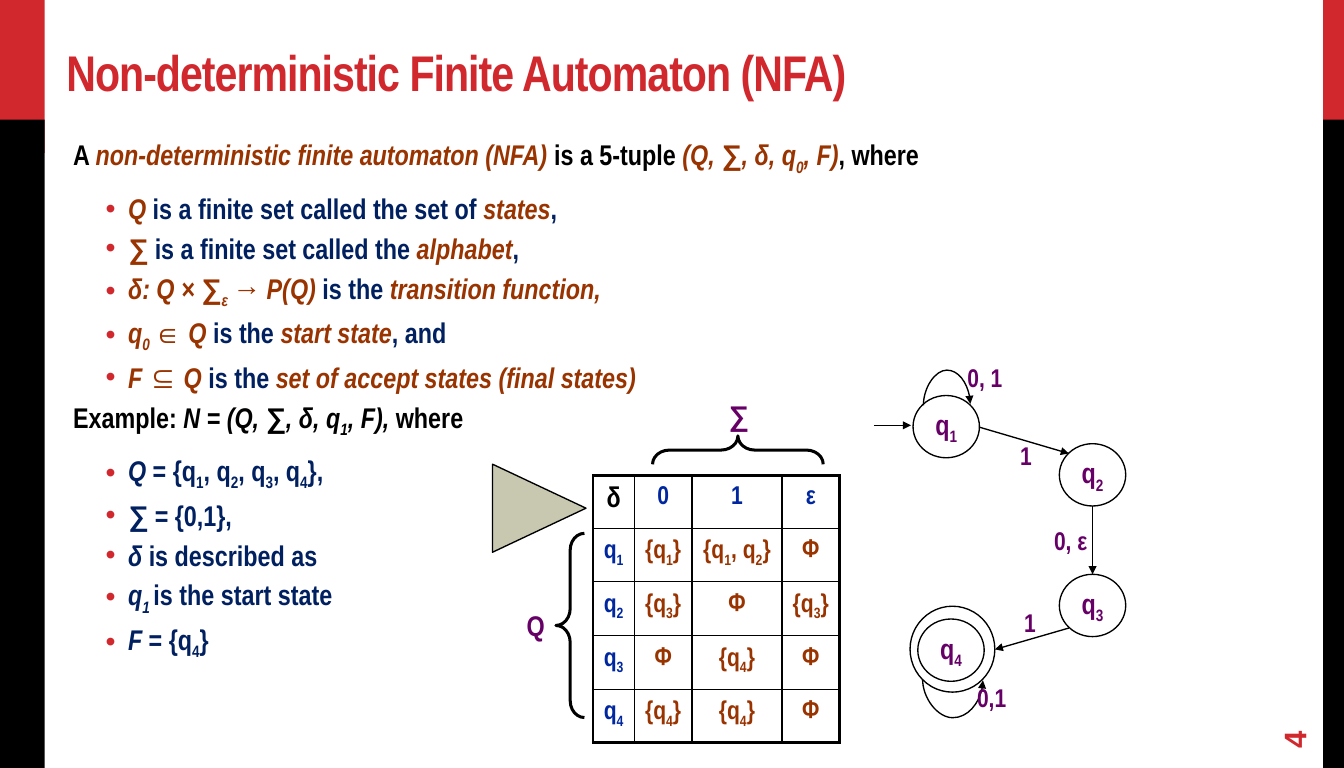
from lxml.etree import SubElement
from pptx import Presentation
from pptx.dml.color import RGBColor
from pptx.enum.shapes import MSO_CONNECTOR, MSO_SHAPE
from pptx.enum.text import MSO_ANCHOR, MSO_AUTO_SIZE, PP_ALIGN
from pptx.oxml.ns import qn
from pptx.util import Pt

RED = RGBColor(0xD1, 0x28, 0x2E)
BLACK = RGBColor(0, 0, 0)
BROWN = RGBColor(0x99, 0x33, 0x00)
NAVY = RGBColor(0x00, 0x20, 0x60)
BLUE = RGBColor(0x00, 0x27, 0x9F)
PURPLE = RGBColor(0x66, 0x00, 0x66)
SAND = RGBColor(0xC8, 0xC8, 0xB1)
NARROW = "Arial Narrow"
WIDE, HIGH = 992.13, 567

# In texts, *...* is italic and _ lowers the next character.
# Body lines: text, level, plain colour, italic colour
BODY = [
    ("A *non-deterministic finite automaton (NFA)* is a 5-tuple "
     "*(Q, ∑, δ, q_0, F)*, where", 0, BLACK, BROWN),
    ("*Q* is a finite set called the set of *states*,", 1, NAVY, BROWN),
    ("*∑* is a finite set called the *alphabet*,", 1, NAVY, BROWN),
    ("*δ: Q × ∑_ε → P(Q) *is the *transition function,*", 1, NAVY, BROWN),
    ("*q_0 ∈ Q* is the *start state*, and", 1, NAVY, BROWN),
    ("*F ⊆ Q* is the *set of accept states (final states)*", 1, NAVY, BROWN),
    ("Example: *N = (Q, ∑, δ, q_1, F), *where", 0, BLACK, BLACK),
    ("*Q *= {q_1, q_2, q_3, q_4},", 1, NAVY, NAVY),
    ("*∑* = {0,1},", 1, NAVY, NAVY),
    ("*δ *is described as", 1, NAVY, NAVY),
    ("*q_1 *is the start state", 1, NAVY, NAVY),
    ("*F* = {q_4}", 1, NAVY, NAVY),
]
MOVES = [
    ["δ", "0", "1", "ε"],
    ["q_1", "{q_1}", "{q_1, q_2}", "Φ"],
    ["q_2", "{q_3}", "Φ", "{q_3}"],
    ["q_3", "Φ", "{q_4}", "Φ"],
    ["q_4", "{q_4}", "{q_4}", "Φ"],
]
STATES = [("q_1", 674, 292), ("q_2", 782, 327.6),
          ("q_3", 782, 424), ("q_4", 677.5, 457)]
ARROWS = [(645, 314, 672.5, 314), (723, 315.4, 789, 334.8),
          (806.5, 373.7, 806.5, 424), (789, 463.7, 734.4, 479.5)]
# Ends before rotation, turn in degrees, bend
LOOPS = [((699.45, 316, 698.4, 281.4), 90, 24.75),
         ((703.8, 479.5, 702.75, 524.1), 270, 27.29)]
LABELS = [("0, 1", 707, 263.5, 40.5), ("1", 746, 321, 23),
          ("0, ε", 771, 383.8, 39.6), ("1", 749, 444.2, 23),
          ("0,1", 714.2, 499.7, 36)]


def write(para, text, size, plain, accent=None, face=NARROW):
    """Fill a paragraph with bold text, italics and subscripts."""
    font = para.font
    font.name, font.size, font.bold = face, Pt(size), True
    for i, part in enumerate(text.split("*")):
        for j, piece in enumerate(part.split("_")):
            bits = [(piece, False)]
            if j:
                cut = 2 if piece[1:2] == " " else 1
                bits = [(piece[:cut], True), (piece[cut:], False)]
            for words, low in bits:
                if not words:
                    continue
                run = para.add_run()
                run.text = words
                run.font.color.rgb = (accent or plain) if i % 2 else plain
                run.font.italic = bool(i % 2)
                if low:
                    run.font._element.set("baseline", "-25000")


def place(shape, left, top, width, height):
    """Move and size a shape."""
    shape.left, shape.top = Pt(left), Pt(top)
    shape.width, shape.height = Pt(width), Pt(height)


def pad(frame):
    """Set the wide insets of the title, body and page number."""
    frame.margin_left = frame.margin_right = Pt(8)
    frame.margin_top = frame.margin_bottom = Pt(4)
    frame.auto_size = MSO_AUTO_SIZE.NONE
    frame.word_wrap = True


def indent(para, level):
    """Set the level, indent and bullet of a body line."""
    para.level = level
    props = para._p.get_or_add_pPr()
    props.set("marL", str(Pt(40.5 * level)))
    props.set("indent", str(Pt(-16.5 * level)))
    if level:
        tint = SubElement(props, qn("a:buClr"))
        SubElement(tint, qn("a:srgbClr")).set("val", str(RED))
        SubElement(props, qn("a:buFont")).set("typeface", "Arial")
        SubElement(props, qn("a:buChar")).set("char", "•")
    else:
        SubElement(props, qn("a:buNone"))
        para.space_after = Pt(6.8)


def shape(slide, kind, box, fill=None, line=None, adjust=()):
    """Add a preset shape with an optional fill and black line."""
    item = slide.shapes.add_shape(kind, *map(Pt, box))
    item.shadow.inherit = False
    if fill is None:
        item.fill.background()
    else:
        item.fill.solid()
        item.fill.fore_color.rgb = fill
    if line is None:
        item.line.fill.background()
    else:
        item.line.color.rgb, item.line.width = BLACK, Pt(line)
    for i, value in enumerate(adjust):
        item.adjustments[i] = value
    return item


def state(slide, name, left, top):
    """Add a state circle with its name."""
    item = shape(slide, MSO_SHAPE.OVAL, (left, top, 49, 46), line=1)
    frame = item.text_frame
    frame.word_wrap = False
    frame.vertical_anchor = MSO_ANCHOR.MIDDLE
    para = frame.paragraphs[0]
    para.alignment = PP_ALIGN.CENTER
    write(para, name, 21, PURPLE)


def label(slide, text, left, top, width, size=18.9, height=30):
    """Add a purple label."""
    box = slide.shapes.add_textbox(*map(Pt, (left, top, width, height)))
    box.text_frame.word_wrap = False
    box.text_frame.auto_size = MSO_AUTO_SIZE.SHAPE_TO_FIT_TEXT
    write(box.text_frame.paragraphs[0], text, size, PURPLE)


def arrow(slide, ends, kind=MSO_CONNECTOR.STRAIGHT):
    """Add a thin black arrow."""
    item = slide.shapes.add_connector(kind, *map(Pt, ends))
    item.line.color.rgb, item.line.width = BLACK, Pt(1)
    props = item._element.spPr
    SubElement(props.find(qn("a:ln")), qn("a:tailEnd")).set("type", "triangle")
    SubElement(props, qn("a:effectLst"))
    return props


def loop(slide, ends, turn, bend):
    """Add a curved arrow from a state to itself."""
    props = arrow(slide, ends, MSO_CONNECTOR.CURVE)
    props.find(qn("a:xfrm")).set("rot", str(turn * 60000))
    preset = props.find(qn("a:prstGeom"))
    values = preset.find(qn("a:avLst"))
    if values is None:
        values = SubElement(preset, qn("a:avLst"))
    guide = SubElement(values, qn("a:gd"))
    guide.set("name", "adj1")
    guide.set("fmla", f"val {round(bend * 100000)}")


def border(cell, widths):
    """Draw the left, right, top and bottom lines of a cell."""
    props = cell._tc.get_or_add_tcPr()
    for i, (side, width) in enumerate(zip("LRTB", widths)):
        line = SubElement(props, qn(f"a:ln{side}"))
        line.set("w", str(Pt(width)))
        fill = SubElement(line, qn("a:solidFill"))
        SubElement(fill, qn("a:srgbClr")).set("val", str(BLACK))
        props.insert(i, line)


def grid(slide):
    """Add the table of moves with a thick outer frame."""
    rows, cols = len(MOVES), len(MOVES[0])
    box = map(Pt, (437.8, 351, 182, 183))
    table = slide.shapes.add_table(rows, cols, *box).table
    table.first_row = table.horz_banding = False
    for col, width in zip(table.columns, (30.5, 42.5, 66.5, 42.5)):
        col.width = Pt(width)
    for r, line in enumerate(MOVES):
        table.rows[r].height = Pt(36 if r else 39)
        for c, text in enumerate(line):
            cell = table.cell(r, c)
            cell.fill.background()
            outer = (c == 0, c == cols - 1, r == 0, r == rows - 1)
            border(cell, [2.25 if edge else 1 for edge in outer])
            para = cell.text_frame.paragraphs[0]
            para.alignment = PP_ALIGN.CENTER
            para.line_spacing, para.space_before = 1.25, Pt(5.7)
            color = BROWN if r and c else BLUE if r or c else BLACK
            write(para, text, 19 if r or c else 21, color)


def main():
    """Build the slide and save it."""
    deck = Presentation()
    deck.slide_width, deck.slide_height = Pt(WIDE), Pt(HIGH)
    slide = deck.slides.add_slide(deck.slide_layouts[1])
    for left, width in ((976.8, WIDE - 976.8), (0, 33)):
        shape(slide, MSO_SHAPE.RECTANGLE, (left, 0, width, 113), RED)
        shape(slide, MSO_SHAPE.RECTANGLE, (left, 88.3, width, HIGH - 88.3), BLACK)

    title, body = slide.placeholders
    place(title, 41, 13.7, 911.5, 65.5)
    pad(title.text_frame)
    title.text_frame.vertical_anchor = MSO_ANCHOR.BOTTOM
    head = title.text_frame.paragraphs[0]
    head.alignment = PP_ALIGN.LEFT
    write(head, "Non-deterministic Finite Automaton (NFA)", 37, RED)
    head.runs[0].font._element.set("spc", "-70")

    place(body, 46, 97.5, 808.5, 456.5)
    frame = body.text_frame
    pad(frame)
    for i, (text, level, plain, accent) in enumerate(BODY):
        para = frame.add_paragraph() if i else frame.paragraphs[0]
        indent(para, level)
        write(para, text, 21, plain, accent)

    label(slide, "*∑*", 530.6, 290.2, 30, 21, 32.4)
    label(slide, "Q", 381.6, 445.4, 28, 21, 32.4)
    shape(slide, MSO_SHAPE.RIGHT_ARROW, (363.6, 342.7, 69, 65), SAND, 1, (0.5, 1.27))
    grid(slide)
    for item in STATES:
        state(slide, *item)
    shape(slide, MSO_SHAPE.OVAL, (671.8, 447.6, 62.6, 63.4), line=1)
    for ends in ARROWS:
        arrow(slide, ends)
    for item in LOOPS:
        loop(slide, *item)
    for item in LABELS:
        label(slide, *item)
    top = shape(slide, MSO_SHAPE.LEFT_BRACE, (534.2, 269.3, 21, 126), line=2.25, adjust=(0.59, 0.5))
    top.rotation = 90
    shape(slide, MSO_SHAPE.LEFT_BRACE, (410.4, 393.8, 21, 136), line=2.25, adjust=(0.59, 0.5))

    page = slide.shapes.add_textbox(*map(Pt, (926, 519, 58.3, 24.5)))
    page.rotation = 270
    pad(page.text_frame)
    page.text_frame.vertical_anchor = MSO_ANCHOR.MIDDLE
    write(page.text_frame.paragraphs[0], "4", 23, RED, face="Arial")
    deck.save("out.pptx")


main()
